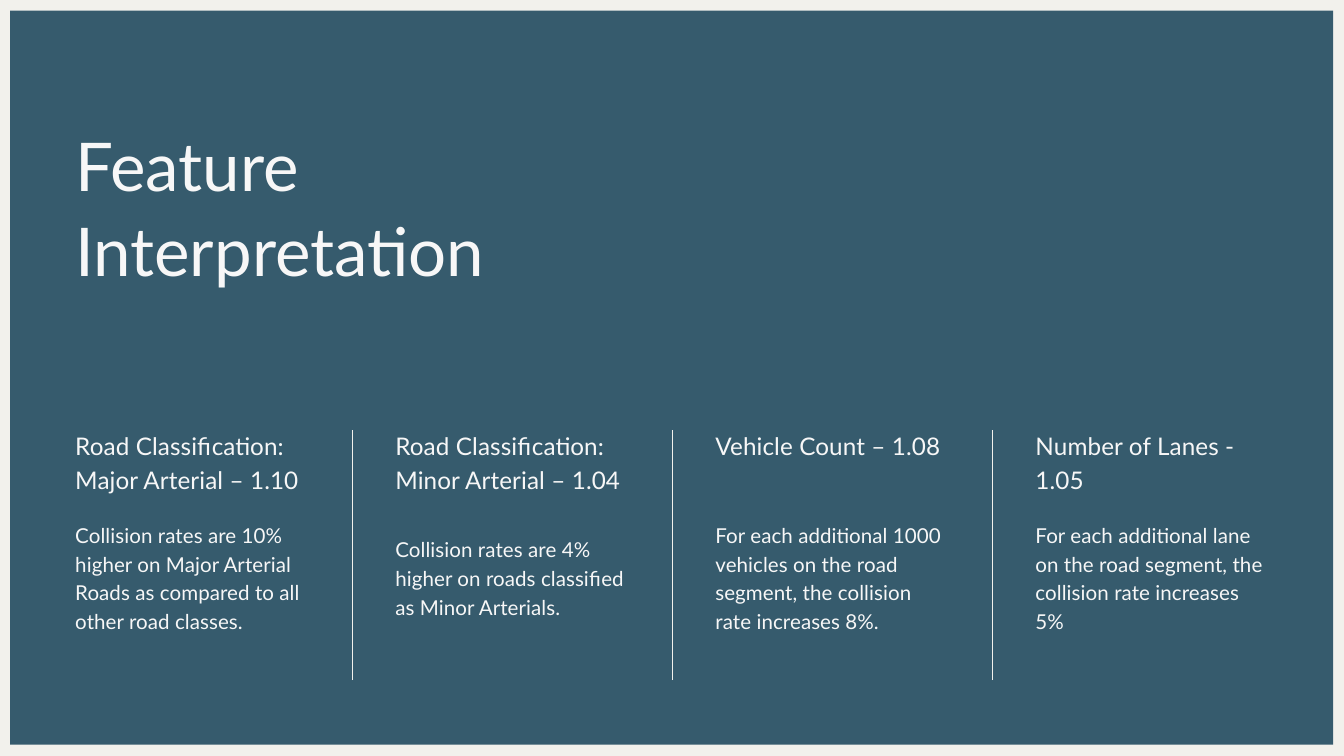
from dataclasses import dataclass

from lxml import etree
from pptx import Presentation
from pptx import util as u
from pptx.dml.color import RGBColor
from pptx.enum import shapes, text
from pptx.oxml import ns


@dataclass(frozen=True)
class Style:
    size: float
    leading: float
    tracking: int = 0


@dataclass(frozen=True)
class Theme:
    font: str = "Lato"
    paper: RGBColor = RGBColor.from_string("F2F1EC")
    panel: RGBColor = RGBColor.from_string("365B6D")
    ink: RGBColor = RGBColor.from_string("F7F7F7")
    title: Style = Style(72, 90.7)
    heading: Style = Style(26, 36.4, 10)
    body: Style = Style(22, 30.8, 10)
    rule_width: float = 0.75


THEME = Theme()
LEFT = 1.12
COLUMN_WIDTH = 3.47
COLUMN_STEP = 4.763
RULE_OFFSET = 4.12
HEADING_TOP = 6.35
HEADING_LINE = 0.49
BODY_MIDDLE = 8.57
BODY_LINE = 0.425

FEATURES = [
    ("Road Classification: Major Arterial – 1.10", 2,
     "Collision rates are 10% higher on Major Arterial Roads as compared to all other road classes.", 4),
    ("Road Classification: Minor Arterial – 1.04", 2,
     "Collision rates are 4% higher on roads classified as Minor Arterials.", 3),
    ("Vehicle Count – 1.08", 1,
     "For each additional 1000 vehicles on the road segment, the collision rate increases 8%.", 4),
    ("Number of Lanes - 1.05", 2,
     "For each additional lane on the road segment, the collision rate increases 5%", 4),
]


def add_panel(s, left, top, width, height):
    sp = s.shapes.add_shape(shapes.MSO_SHAPE.RECTANGLE, u.Inches(left), u.Inches(top),
                            u.Inches(width), u.Inches(height))
    sp.shadow.inherit = False
    sp.fill.solid()
    sp.fill.fore_color.rgb = THEME.panel
    sp.line.fill.background()


def add_text(s, content, left, top, width, height, style):
    sp = s.shapes.add_textbox(u.Inches(left), u.Inches(top), u.Inches(width), u.Inches(height))
    tf = sp.text_frame
    tf.margin_left = tf.margin_right = tf.margin_top = tf.margin_bottom = 0
    tf.word_wrap = True
    tf.auto_size = text.MSO_AUTO_SIZE.SHAPE_TO_FIT_TEXT
    tf.text = content
    p = tf.paragraphs[0]
    p.line_spacing = u.Pt(style.leading)
    r = p.runs[0]
    r.font.name = THEME.font
    r.font.size = u.Pt(style.size)
    r.font.color.rgb = THEME.ink
    if style.tracking:
        r.font._element.set("spc", str(style.tracking))


def add_rule(s, x, top, bottom):
    sp = s.shapes.add_connector(shapes.MSO_CONNECTOR.STRAIGHT, u.Inches(x), u.Inches(bottom),
                                u.Inches(x), u.Inches(top))
    sp.line.color.rgb = THEME.paper
    sp.line.width = u.Pt(THEME.rule_width)
    etree.SubElement(sp._element.spPr, ns.qn("a:effectLst"))


def add_feature(s, left, heading, heading_lines, body, body_lines):
    body_height = body_lines * BODY_LINE
    add_text(s, body, left, BODY_MIDDLE - body_height / 2, COLUMN_WIDTH, body_height, THEME.body)
    add_text(s, heading, left, HEADING_TOP, COLUMN_WIDTH, heading_lines * HEADING_LINE, THEME.heading)


def main():
    prs = Presentation()
    prs.slide_width, prs.slide_height = u.Inches(20), u.Inches(11.25)
    s = prs.slides.add_slide(prs.slide_layouts[6])
    s.background.fill.solid()
    s.background.fill.fore_color.rgb = THEME.paper

    add_panel(s, 0.15, 0.16, 19.69, 10.92)
    add_text(s, "Feature Interpretation", LEFT, 1.79, 7.82, 2.48, THEME.title)
    for i, feature in enumerate(FEATURES):
        left = LEFT + i * COLUMN_STEP
        add_feature(s, left, *feature)
        if i < len(FEATURES) - 1:
            add_rule(s, left + RULE_OFFSET, 6.4, 10.12)

    prs.save("out.pptx")


if __name__ == "__main__":
    main()
